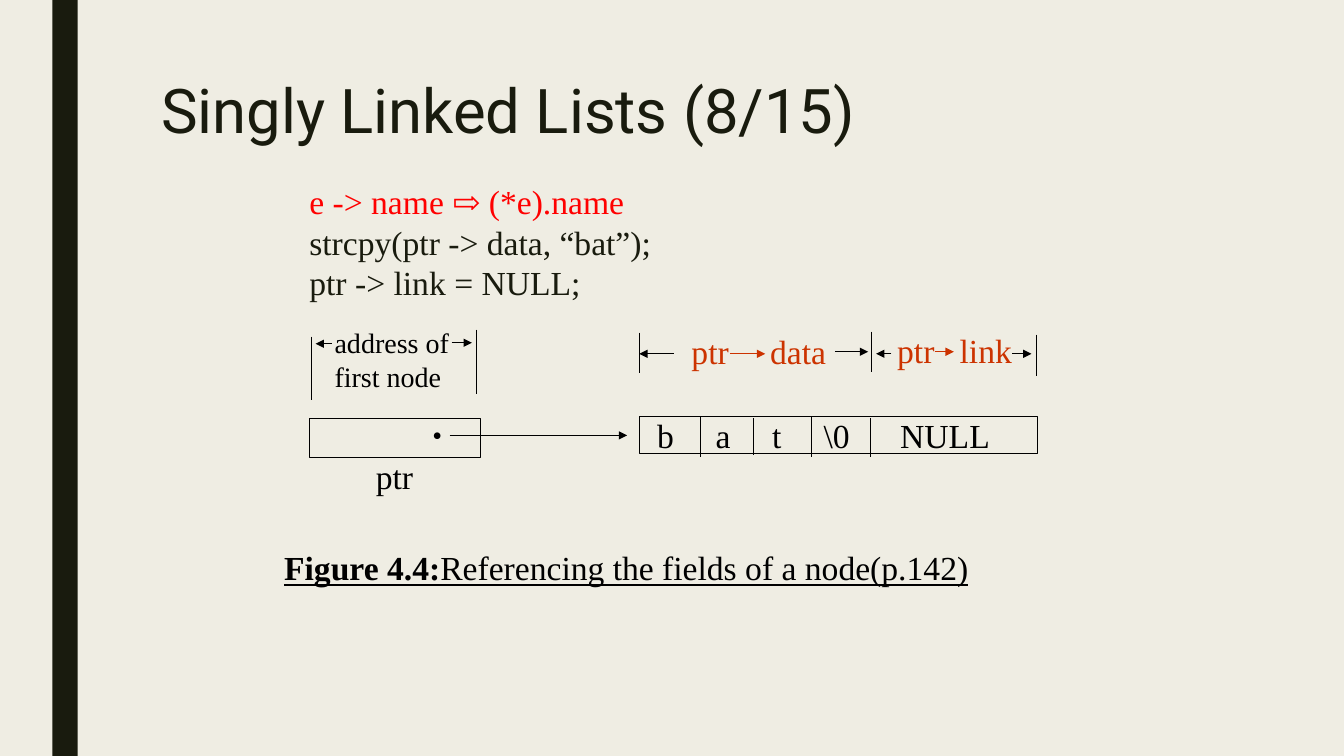
from lxml.etree import SubElement
from pptx import Presentation
from pptx.dml.color import RGBColor
from pptx.enum.shapes import MSO_CONNECTOR as Link, MSO_SHAPE as Preset
from pptx.enum.text import MSO_ANCHOR as Anchor
from pptx.oxml.ns import qn
from pptx.util import Inches, Pt

INK, BLACK, RED, RUST = "191B0E", "000000", "FF0000", "CC3300"


def color(code):
    return RGBColor.from_string(code)


class Board:
    """Places elements on a grid of 0.1-inch columns and rows."""

    body_font = "Times New Roman"
    line_width = Pt(0.75)

    def __init__(self, deck, background):
        self.slide = deck.slides.add_slide(deck.slide_layouts[6])
        self.shapes = self.slide.shapes
        fill = self.slide.background.fill
        fill.solid()
        fill.fore_color.rgb = color(background)

    def cells(self, *lengths):
        return [Inches(length / 10) for length in lengths]

    def box(self, x, y, w, h, fill=None, line=None):
        box = self.shapes.add_shape(Preset.RECTANGLE, *self.cells(x, y, w, h))
        box.shadow.inherit = False
        if fill:
            box.fill.solid()
            box.fill.fore_color.rgb = color(fill)
        else:
            box.fill.background()
        if line:
            box.line.color.rgb = color(line)
            box.line.width = self.line_width
        else:
            box.line.fill.background()
        return box

    def text(self, x, y, w, h, *rows, size=24, font=None, tabs=(),
             spacing=1.0, anchor=Anchor.TOP):
        frame = self.shapes.add_textbox(*self.cells(x, y, w, h)).text_frame
        frame.word_wrap = True
        frame.vertical_anchor = anchor
        for index, row in enumerate(rows):
            line = frame.add_paragraph() if index else frame.paragraphs[0]
            line.line_spacing = spacing
            if tabs:
                stops = SubElement(line._p.get_or_add_pPr(), qn("a:tabLst"))
                for stop in self.cells(*tabs):
                    SubElement(stops, qn("a:tab"), pos=str(stop), algn="l")
            for words, ink, *marks in row:
                run = line.add_run()
                run.text = words
                run.font.name = font or self.body_font
                run.font.size = Pt(size)
                run.font.color.rgb = color(ink)
                run.font.bold = "bold" in marks
                run.font.underline = "underline" in marks

    def line(self, x1, y1, x2, y2, ink=BLACK, arrow=False):
        line = self.shapes.add_connector(
            Link.STRAIGHT, *self.cells(x1, y1, x2, y2))
        line.line.color.rgb = color(ink)
        line.line.width = self.line_width
        if arrow:
            SubElement(line.line._get_or_add_ln(), qn("a:tailEnd"), type="triangle")
        SubElement(line._element.spPr, qn("a:effectLst"))

    def arrow(self, start, end, y, ink=BLACK):
        self.line(start, y, end, y, ink, arrow=True)

    def upright(self, x, top, bottom):
        self.line(x, top, x, bottom)


def main():
    deck = Presentation()
    deck.slide_width, deck.slide_height = Inches(13.33), Inches(7.5)
    board = Board(deck, "EFEDE3")

    board.box(5.2, 0, 2.5, 75, fill=INK)
    board.text(15, 7.5, 105, 16.2, [("Singly Linked Lists (8/15)", INK)],
               size=44, font="Roboto", spacing=0.89)
    board.text(29.7, 17.5, 39, 13.1,
               [("e -> name ⇨ (*e).name", RED)],
               [("strcpy(ptr -> data, “bat”);", INK)],
               [("ptr -> link = NULL;", INK)])

    board.box(30.7, 41.5, 17, 3.9, line=BLACK)
    board.text(41.9, 40.9, 3, 4, [("•", BLACK)], size=20)
    board.text(36.3, 44.7, 8, 5, [("ptr", BLACK)])
    board.text(32.2, 31.8, 17.6, 7.7,
               [("address of", BLACK)], [("first node", BLACK)], size=20)
    board.arrow(44.6, 62.2, 43.2)

    board.box(63.4, 41.3, 39.5, 3.7, line=BLACK)
    board.text(64.2, 41.3, 38.7, 3.7, [("b\ta\tt\t\\0\tNULL", BLACK)],
               tabs=(5.8, 11.4, 16.5, 24.1), anchor=Anchor.MIDDLE)
    for x, top, bottom in [(69.5, 41.3, 45.3), (74.7, 41.5, 45.1),
                           (80.5, 41.3, 45.3), (86.3, 41.5, 45.3)]:
        board.upright(x, top, bottom)

    for x, top, bottom in [(30.9, 33.4, 39.7), (47.3, 32.7, 39.1),
                           (63.4, 33, 37), (86.4, 32.9, 36.9),
                           (102.8, 33.2, 37.3)]:
        board.upright(x, top, bottom)
    for start, end, y in [(32.9, 31.3, 34.1), (44.8, 46.8, 34),
                          (66.8, 63.4, 35.1), (82.8, 86.1, 34.9),
                          (88.4, 86.9, 35.1), (100.4, 102.3, 35.1)]:
        board.arrow(start, end, y)

    for x, y, field, tab, start, end, level in [
            (67.6, 32.3, "data", 7.8, 72.4, 75.9, 35.1),
            (88, 32.2, "link", 6.2, 92.7, 94.6, 34.9)]:
        board.text(x, y, 17, 5, [(f"ptr\t{field}", RUST)], tabs=(tab,))
        board.arrow(start, end, level, RUST)

    board.text(27.2, 53.8, 72, 5,
               [("Figure 4.4:", BLACK, "bold", "underline"),
                ("Referencing the fields of a node(p.142)", BLACK, "underline")])

    deck.save("out.pptx")


if __name__ == "__main__":
    main()
